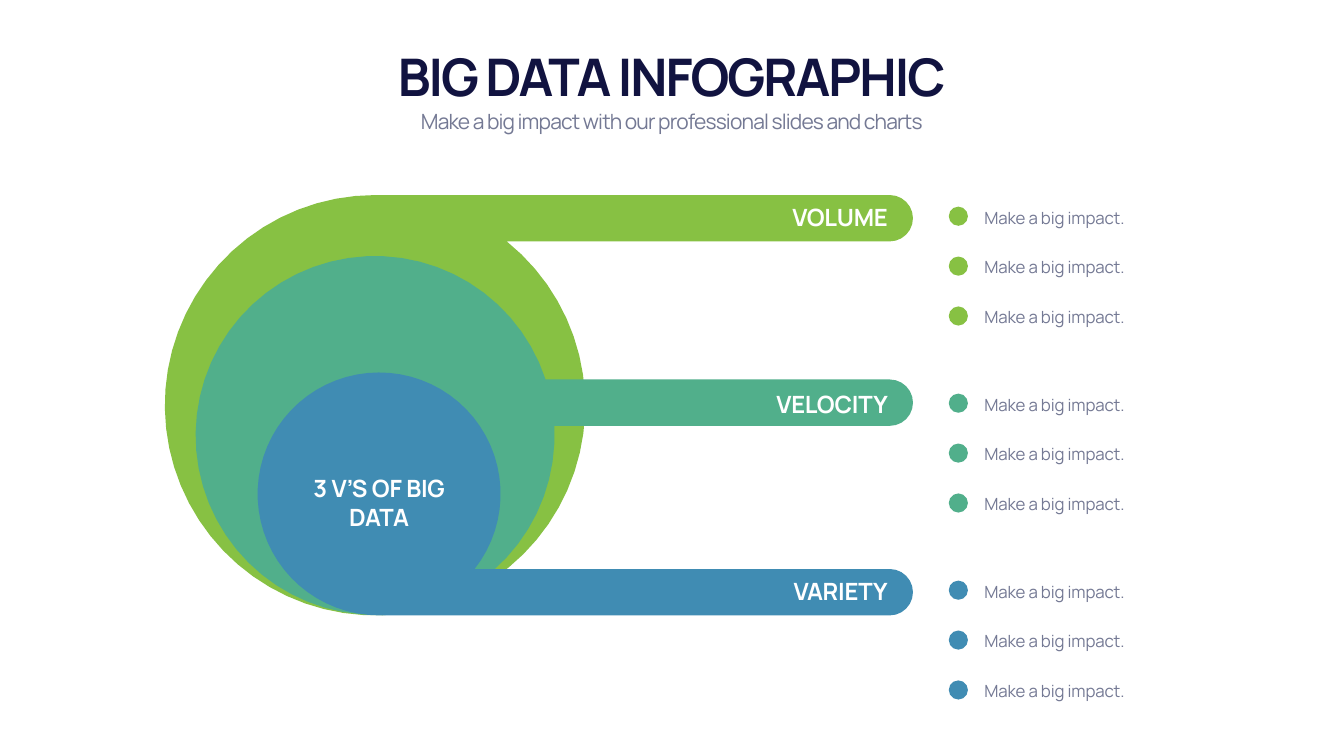
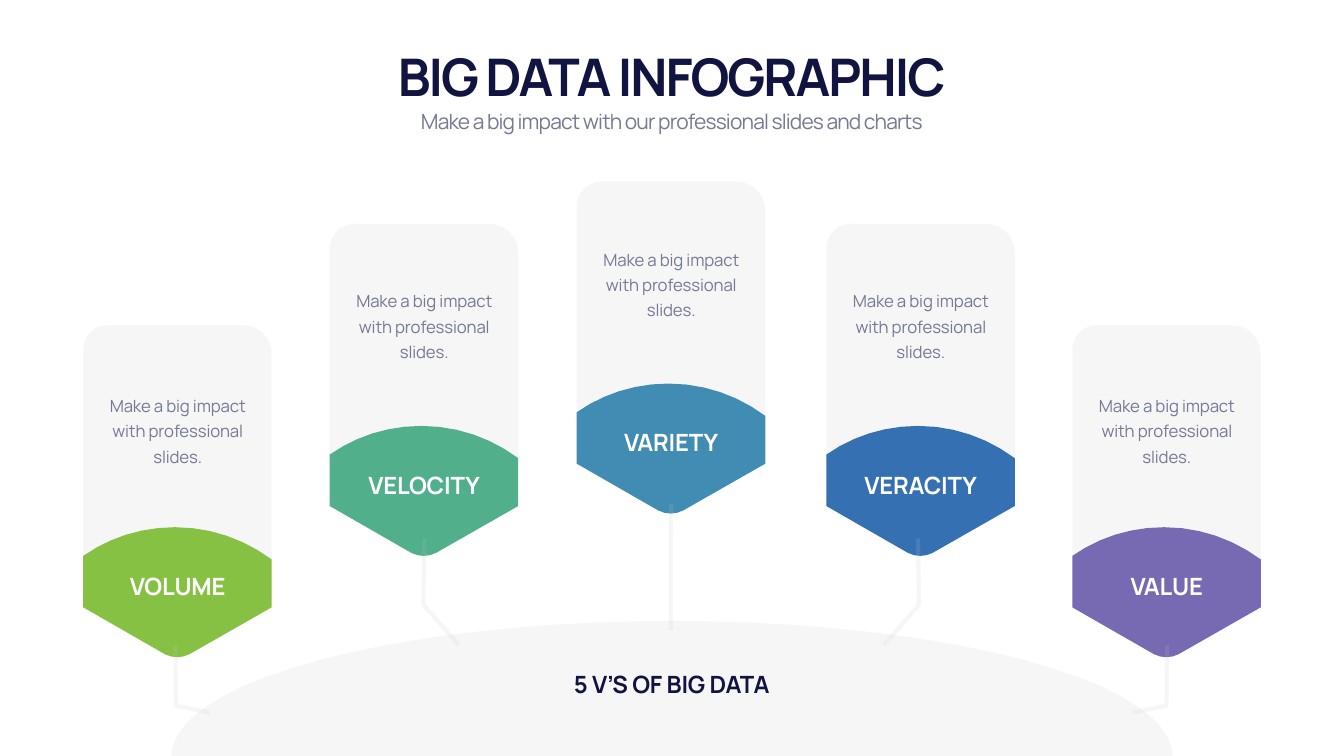
from dataclasses import dataclass
from math import asin, cos, pi, sin

from lxml import etree
from pptx import Presentation
from pptx import util as u
from pptx.dml.color import RGBColor
from pptx.enum import shapes, text
from pptx.oxml.ns import qn

LEFT, MID, RIGHT = text.PP_ALIGN.LEFT, text.PP_ALIGN.CENTER, text.PP_ALIGN.RIGHT


@dataclass(frozen=True)
class Style:
    """Type: size, colour, bold, letter spacing and line pitch in points."""
    size: float
    color: str
    bold: bool
    track: float
    pitch: float = 0


@dataclass(frozen=True)
class Theme:
    font: str = "Manrope"
    green: str = "87C143"
    teal: str = "51AF8B"
    sky: str = "408CB3"
    blue: str = "3470B2"
    violet: str = "7769B2"
    mist: str = "C3C8CE"
    alpha: int = 15
    wire: float = 6
    title: Style = Style(74, "111340", True, -2.9, 94)
    sub: Style = Style(30, "747994", False, -1.2, 42)
    label: Style = Style(34, "FFFFFF", True, -0.3)
    dark: Style = Style(34, "111340", True, -0.3)
    body: Style = Style(24, "747994", False, -0.2, 36)


T = Theme()
WIDE, HIGH = 26.66, 15


def arc(cx, cy, rx, ry, start, end, steps):
    """Points on an ellipse, clockwise on the slide, angles in radians."""
    angles = [start + (end - start) * i / steps for i in range(steps + 1)]
    return [(cx + rx * cos(a), cy + ry * sin(a)) for a in angles]


def curve(a, b, c, d, steps):
    """Points on a cubic Bezier curve."""
    pts = []
    for i in range(steps + 1):
        t = i / steps
        k = ((1 - t) ** 3, 3 * t * (1 - t) ** 2, 3 * t * t * (1 - t), t ** 3)
        pts.append(tuple(sum(w * p[n] for w, p in zip(k, (a, b, c, d)))
                         for n in (0, 1)))
    return pts


def fade(shape):
    for tint in shape._element.spPr.iter(qn("a:srgbClr")):
        etree.SubElement(tint, qn("a:alpha"), val=str(T.alpha * 1000))


def paint(shape, color):
    shape.shadow.inherit = False
    shape.fill.solid()
    shape.fill.fore_color.rgb = RGBColor.from_string(color)
    shape.line.fill.background()


def stroke(shape):
    shape.line.color.rgb = RGBColor.from_string(T.mist)
    shape.line.width = u.Pt(T.wire)
    fade(shape)


def trace(slide, pts, close=True):
    emu = [(u.Inches(x), u.Inches(y)) for x, y in pts]
    pen = slide.shapes.build_freeform(*emu[0])
    pen.add_line_segments(emu[1:], close=close)
    return pen.convert_to_shape()


def area(slide, pts, color, faint=False):
    shape = trace(slide, pts)
    paint(shape, color)
    if faint:
        fade(shape)


def wire(slide, pts):
    shape = trace(slide, pts, close=False)
    shape.shadow.inherit = False
    shape.fill.background()
    stroke(shape)


def write(shape, words, style, align, anchor):
    frame = shape.text_frame
    frame.word_wrap = True
    frame.auto_size = text.MSO_AUTO_SIZE.SHAPE_TO_FIT_TEXT
    frame.vertical_anchor = anchor
    para = frame.paragraphs[0]
    run = para.add_run()
    run.text = words
    run._r.get_or_add_rPr().set("spc", str(round(style.track * 100)))
    para.alignment = align
    para.space_before = u.Pt(0)
    if style.pitch:
        para.line_spacing = u.Pt(style.pitch)
    font = para.font
    font.name, font.size, font.bold = T.font, u.Pt(style.size), style.bold
    font.color.rgb = RGBColor.from_string(style.color)


def place(shape, x, y, w, h):
    shape.left, shape.top = u.Inches(x), u.Inches(y)
    shape.width, shape.height = u.Inches(w), u.Inches(h)


def note(slide, box, words, style, align=MID, anchor=text.MSO_ANCHOR.MIDDLE):
    shape = slide.shapes.add_textbox(*map(u.Inches, box))
    write(shape, words, style, align, anchor)


def start(deck):
    """Add a slide with the shared heading."""
    slide = deck.slides.add_slide(deck.slide_layouts[0])
    head, sub = slide.placeholders
    place(head, 1.66, 0.77, 23.33, 1.4)
    write(head, "BIG DATA INFOGRAPHIC", T.title, MID, text.MSO_ANCHOR.BOTTOM)
    place(sub, 1.66, 2.01, 23.33, 0.67)
    write(sub, "Make a big impact with our professional slides and charts",
          T.sub, MID, text.MSO_ANCHOR.TOP)
    return slide


def flag(slide, cx, cy, r, top, color):
    """Disc joined to a bar with a rounded right end."""
    cap = 0.46
    low, high = (asin(max(-1, min(1, (y - cy) / r)))
                 for y in (top + 2 * cap, top))
    disc = arc(cx, cy, r, r, low, high + 2 * pi, 60)
    end = arc(17.65, top + cap, cap, cap, -pi / 2, pi / 2, 12)
    area(slide, disc + end, color)


def bullets(slide, top, color):
    for i in range(3):
        dot = slide.shapes.add_shape(
            shapes.MSO_SHAPE.OVAL, u.Inches(18.82), u.Inches(top + 0.99 * i),
            u.Inches(0.38), u.Inches(0.38))
        paint(dot, color)
        note(slide, (19.43, top - 0.13 + 0.98 * i, 4.3, 0.58),
             "Make a big impact.", T.body, LEFT, text.MSO_ANCHOR.TOP)


def discs(deck):
    slide = start(deck)
    rows = [("VOLUME", T.green, 7.44, 8.04, 4.17, 3.87),
            ("VELOCITY", T.teal, 7.44, 8.64, 3.56, 7.53),
            ("VARIETY", T.sky, 7.52, 9.8, 2.41, 11.29)]
    for _, color, cx, cy, r, top in rows:
        flag(slide, cx, cy, r, top, color)
    note(slide, (5.84, 9.35, 3.36, 1.25), "3 V’S OF BIG DATA", T.label)
    for i, (name, color, *_) in enumerate(rows):
        drop = 3.71 * i
        note(slide, (12.44, 3.97 + drop, 5.27, 0.67), name, T.label, RIGHT)
        bullets(slide, 4.1 + drop, color)


def card(slide, x, top, drop, name, color):
    """Pale tab over a coloured badge; they share a domed edge."""
    def shift(pts):
        return [(x + px, top + py) for px, py in pts]

    w = 3.74
    dome = (curve((0, 4.58), (0.51, 4.22), (1.14, 4.01), (1.82, 4.01), 6)
            + curve((1.82, 4.01), (2.54, 4.01), (3.2, 4.25), (w, 4.65), 6)[1:])
    tip = curve((2.11, 6.53), (1.96, 6.61), (1.77, 6.61), (1.62, 6.53), 4)
    area(slide, shift(dome + [(w, 5.6)] + tip + [(0, 5.6)]), color)
    crown = (arc(w - 0.57, 0.57, 0.57, 0.57, 0, -pi / 2, 6)
             + arc(0.49, 0.49, 0.49, 0.49, -pi / 2, -pi, 6))
    area(slide, shift(dome + crown), T.mist, faint=True)
    note(slide, (x + 0.22, top + 4.84, 3.31, 0.67), name, T.label)
    note(slide, (x + 0.22, top + drop, 3.31, 1.59),
         "Make a big impact with professional slides.", T.body)


def fan(deck):
    slide = start(deck)
    area(slide, arc(13.33, HIGH, 9.93, 2.68, -pi, 0, 40), T.mist, faint=True)
    note(slide, (10.98, 13.23, 4.69, 0.67), "5 V’S OF BIG DATA", T.dark)
    for spot in [(1.65, 6.45, 1.26, "VOLUME", T.green),
                 (6.54, 4.44, 1.19, "VELOCITY", T.teal),
                 (11.44, 3.6, 1.2, "VARIETY", T.sky),
                 (16.39, 4.44, 1.19, "VERACITY", T.blue),
                 (21.27, 6.45, 1.26, "VALUE", T.violet)]:
        card(slide, *spot)
    for pts in ([(3.48, 12.8), (3.49, 14), (4.16, 14.14)],
                [(8.42, 10.68), (8.4, 12), (9.1, 12.8)]):
        wire(slide, pts)
        wire(slide, [(26.63 - x, y) for x, y in pts])
    stem = slide.shapes.add_connector(
        shapes.MSO_CONNECTOR.STRAIGHT, *map(u.Inches, (13.31, 10, 13.31, 12.5)))
    stroke(stem)
    etree.SubElement(stem._element.spPr, qn("a:effectLst"))


def main():
    deck = Presentation()
    deck.slide_width, deck.slide_height = u.Inches(WIDE), u.Inches(HIGH)
    discs(deck)
    fan(deck)
    deck.save("out.pptx")


if __name__ == "__main__":
    main()
